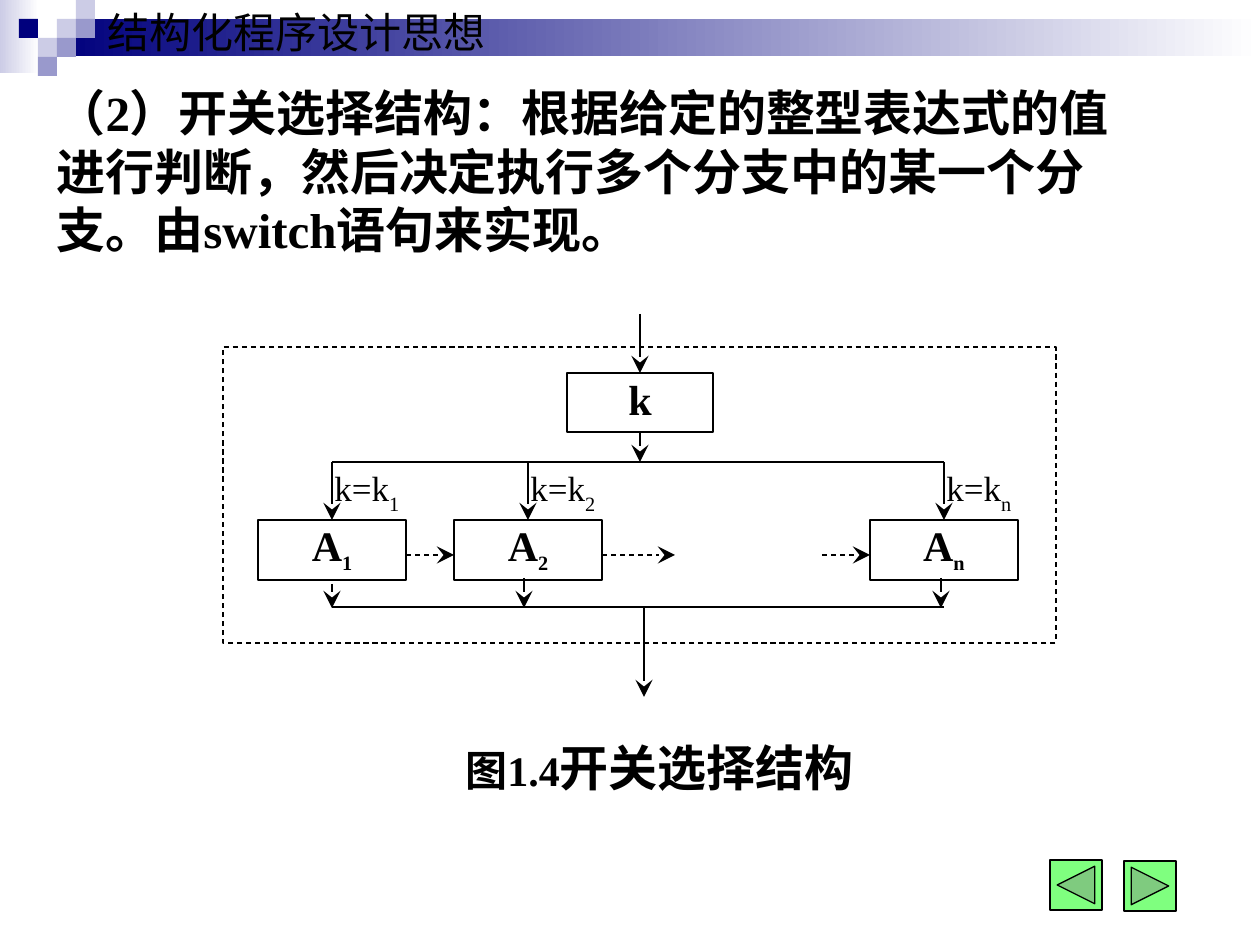
from typing import NamedTuple, Optional

from lxml import etree
from pptx import Presentation
from pptx import util as u
from pptx.dml import color
from pptx.enum import dml, shapes, text
from pptx.oxml import ns

PX = 914400 / 126
COLORS = {"ink": "000000", "paper": "FFFFFF", "navy": "00007D",
          "pale": "CCCCE6", "violet": "9999CC", "button": "00FF00"}
LATIN = "Times New Roman"
CJK = "Noto Sans CJK SC"


class Box(NamedTuple):
    x: int
    y: int
    w: int
    h: int


class Run(NamedTuple):
    text: str
    size: int
    font: str = LATIN
    baseline: int = 0


class Tile(NamedTuple):
    col: int
    row: int
    fill: str


class Branch(NamedTuple):
    index: str
    left: int
    exit_x: int
    exit_y: int


class Arrow(NamedTuple):
    start: int
    end: int


TILES = [Tile(3, 1, "pale"), Tile(4, 0, "pale"), Tile(4, 1, "violet"), Tile(2, 2, "pale"),
         Tile(1, 1, "navy"), Tile(3, 2, "violet"), Tile(2, 3, "violet")]
BRANCHES = [Branch("1", 258, 332, 584), Branch("2", 454, 524, 578), Branch("n", 870, 941, 578)]
SIDE_ARROWS = [Arrow(406, 454), Arrow(602, 675), Arrow(822, 870)]
TILE, STEP_W, STEP_H = 19, 148, 60
SPLIT_Y, STEP_Y, SIDE_Y, MERGE_Y = 462, 520, 555, 608


def px(n: float) -> u.Emu:
    return u.Emu(round(n * PX))


def rgb(name: str) -> color.RGBColor:
    return color.RGBColor.from_string(COLORS[name])


def place(shape, box: Box) -> None:
    shape.left, shape.top, shape.width, shape.height = map(px, box)


def write(shape, runs: list[Run], *, bold: bool = False, align=text.PP_ALIGN.LEFT,
          anchor=text.MSO_ANCHOR.TOP, inset: tuple[float, float] = (0.1, 0.05),
          wrap: bool = True, grow: bool = True, indent: int = 0) -> None:
    frame = shape.text_frame
    frame.word_wrap = wrap
    frame.auto_size = (text.MSO_AUTO_SIZE.SHAPE_TO_FIT_TEXT if grow
                       else text.MSO_AUTO_SIZE.NONE)
    frame.vertical_anchor = anchor
    frame.margin_left = frame.margin_right = u.Inches(inset[0])
    frame.margin_top = frame.margin_bottom = u.Inches(inset[1])
    paragraph = frame.paragraphs[0]
    props = paragraph._p.get_or_add_pPr()
    props.set("marL", "0")
    props.set("indent", str(px(indent)))
    props.set("hangingPunct", "0")
    etree.SubElement(props, ns.qn("a:buNone"))
    paragraph.alignment = align
    paragraph.space_before = u.Pt(0)
    for item in runs:
        run = paragraph.add_run()
        run.text = item.text
        run.font.size = u.Pt(item.size)
        run.font.name = item.font
        run.font.bold = bold
        run.font.color.rgb = rgb("ink")
        if item.baseline:
            run._r.get_or_add_rPr().set("baseline", str(item.baseline * 1000))


def add_block(slide, box: Box, fill: str, *, kind=shapes.MSO_SHAPE.RECTANGLE,
              outlined: bool = False, dashed: bool = False, fade_to: Optional[str] = None,
              opacity: int = 100):
    block = slide.shapes.add_shape(kind, *map(px, box))
    block.shadow.inherit = False
    if fade_to:
        block.fill.gradient()
        block.fill.gradient_angle = 0
        for stop, name, position in zip(block.fill.gradient_stops, (fill, fade_to), (0, 1)):
            stop.color.rgb = rgb(name)
            stop.position = position
    else:
        block.fill.solid()
        block.fill.fore_color.rgb = rgb(fill)
    if opacity < 100:
        tint = block._element.spPr.find(ns.qn("a:solidFill"))[0]
        etree.SubElement(tint, ns.qn("a:alpha"), val=str(opacity * 1000))
    if outlined:
        block.line.color.rgb = rgb("ink")
        block.line.width = u.Pt(0.75)
        if dashed:
            block.line.dash_style = dml.MSO_LINE.DASH
    else:
        block.line.fill.background()
    return block


def add_flow(slide, x1: int, y1: int, x2: int, y2: int, *, arrow: bool = True,
             dashed: bool = False, source=None, target=None) -> None:
    flow = slide.shapes.add_connector(shapes.MSO_CONNECTOR.STRAIGHT, *map(px, (x1, y1, x2, y2)))
    flow.line.color.rgb = rgb("ink")
    flow.line.width = u.Pt(0.75)
    if dashed:
        flow.line.dash_style = dml.MSO_LINE.DASH
    props = flow._element.spPr
    if arrow:
        etree.SubElement(props.find(ns.qn("a:ln")), ns.qn("a:tailEnd"),
                         type="stealth", w="lg", len="lg")
    etree.SubElement(props, ns.qn("a:effectLst"))
    if source is not None:
        flow.begin_connect(source, 2)
    if target is not None:
        flow.end_connect(target, 0)


def add_step(slide, box: Box, runs: list[Run]):
    step = add_block(slide, box, "paper", outlined=True)
    write(step, runs, bold=True, align=text.PP_ALIGN.CENTER, inset=(0, 0), grow=False)
    return step


def add_header(slide) -> None:
    add_block(slide, Box(0, 0, 39, 73), "pale", fade_to="paper")
    add_block(slide, Box(57, 19, 1203, 37), "navy", fade_to="paper")
    for tile in TILES:
        add_block(slide, Box(tile.col * TILE, tile.row * TILE, TILE, TILE), tile.fill)
    heading = slide.shapes.title
    slide.shapes._spTree.append(heading._element)
    place(heading, Box(95, 0, 440, 63))
    write(heading, [Run("结构化程序设计思想", 24)], grow=False)


def add_flowchart(slide) -> None:
    add_block(slide, Box(223, 347, 833, 296), "paper", outlined=True, dashed=True)
    selector = add_step(slide, Box(567, 373, 146, 59), [Run("k", 24)])
    add_flow(slide, 640, 314, 640, 373, target=selector)
    add_flow(slide, 640, 432, 640, SPLIT_Y, source=selector)
    for y in (SPLIT_Y, MERGE_Y - 1):
        add_flow(slide, 332, y, 944, y, arrow=False)
    for branch in BRANCHES:
        step = add_step(slide, Box(branch.left, STEP_Y, STEP_W, STEP_H),
                        [Run("A", 24), Run(branch.index, 20, baseline=-25)])
        middle = branch.left + STEP_W // 2
        add_flow(slide, middle, SPLIT_Y, middle, STEP_Y, target=step)
        add_flow(slide, branch.exit_x, branch.exit_y, branch.exit_x, MERGE_Y)
        condition = slide.shapes.add_textbox(*map(px, Box(middle - 10, 460, 100, 60)))
        write(condition, [Run("k=k", 20), Run(branch.index, 20, baseline=-30)])
    for side in SIDE_ARROWS:
        add_flow(slide, side.start, SIDE_Y, side.end, SIDE_Y, dashed=True)
    add_flow(slide, 644, MERGE_Y, 644, 697)


def main() -> None:
    deck = Presentation()
    deck.slide_width, deck.slide_height = px(1260), px(945)
    slide = deck.slides.add_slide(deck.slide_layouts[1])
    add_header(slide)

    explanation = slide.placeholders[1]
    place(explanation, Box(44, 76, 1121, 189))
    write(explanation, [Run("（2）开关选择结构：根据给定的整型表达式的值进行判断，然后决定执行"
                            "多个分支中的某一个分支。由switch语句来实现。", 28)],
          bold=True, anchor=text.MSO_ANCHOR.MIDDLE)

    add_flowchart(slide)

    caption = slide.shapes.add_textbox(*map(px, Box(441, 731, 440, 131)))
    write(caption, [Run("图", 24, CJK), Run("1.4", 24), Run("开关选择结构", 28)],
          bold=True, indent=12)

    add_block(slide, Box(1124, 861, 52, 50), "button", outlined=True, opacity=50,
              kind=shapes.MSO_SHAPE.ACTION_BUTTON_FORWARD_OR_NEXT)
    add_block(slide, Box(1050, 860, 52, 50), "button", outlined=True, opacity=50,
              kind=shapes.MSO_SHAPE.ACTION_BUTTON_BACK_OR_PREVIOUS)
    deck.save("out.pptx")


if __name__ == "__main__":
    main()
